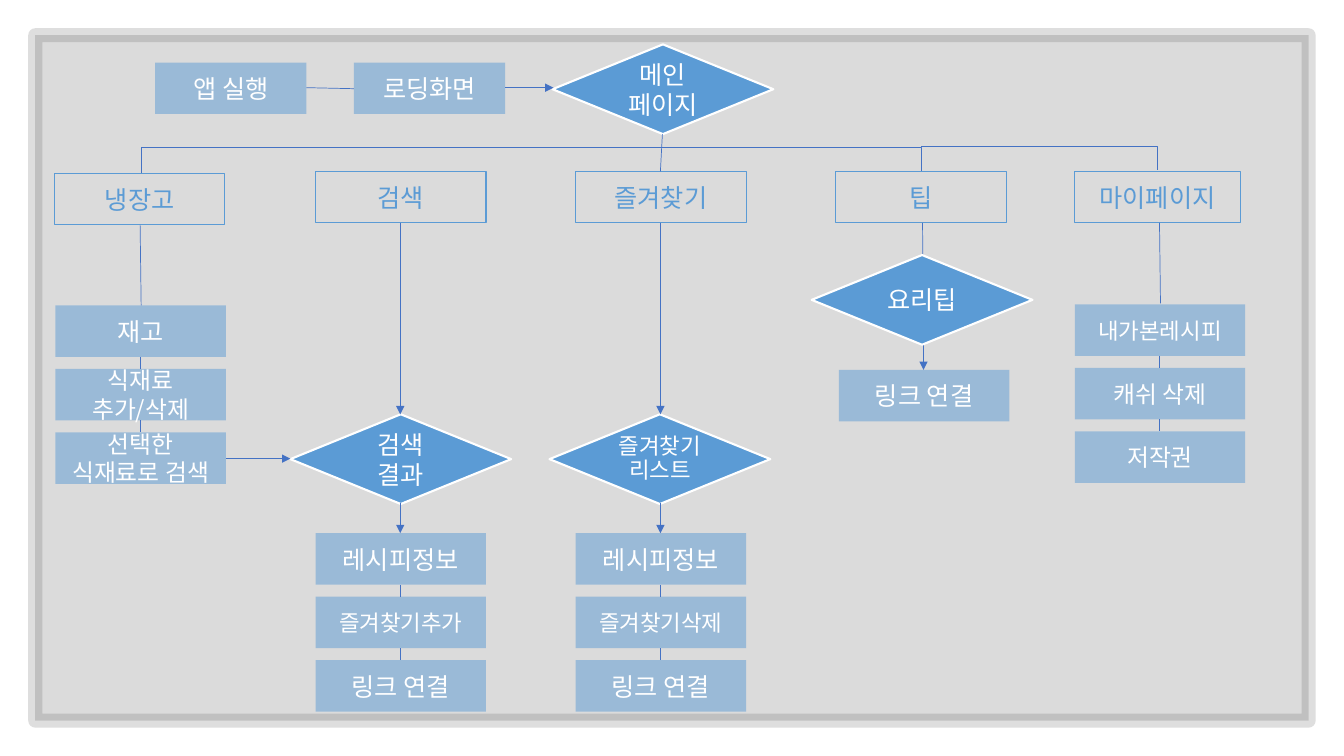
"""Build the screen flow chart of a recipe app on one slide."""
from lxml import etree
from pptx import Presentation
from pptx import util as u
from pptx.dml.color import RGBColor
from pptx.enum import shapes, text
from pptx.oxml.ns import qn

PX = 9144
FONT = "Noto Sans CJK KR"
COLORS = {"blue": "5B9BD5", "white": "FFFFFF", "link": "4472C4",
          "panel": "000000", "border": "262626"}
PROCESS = shapes.MSO_SHAPE.FLOWCHART_PROCESS
DECISION = shapes.MSO_SHAPE.FLOWCHART_DECISION
STRAIGHT = shapes.MSO_CONNECTOR.STRAIGHT
ELBOW = shapes.MSO_CONNECTOR.ELBOW
STYLES = {
    "screen": dict(form=PROCESS, line="blue", weight=0.75, ink="blue"),
    "step": dict(form=PROCESS, fill="blue", alpha=50, ink="white"),
    "choice": dict(form=DECISION, fill="blue", line="white", weight=1.5, ink="white"),
    "panel": dict(form=shapes.MSO_SHAPE.RECTANGLE, fill="panel", alpha=14,
                  line="border", weight=10, line_alpha=15, ink="white"),
}

prs = Presentation()
prs.slide_width, prs.slide_height = 1333 * PX, 750 * PX
slide = prs.slides.add_slide(prs.slide_layouts[6])


def add_node(style, label, left, top, width, height, size=18, spacing=1.0):
    look = STYLES[style]
    node = slide.shapes.add_shape(look["form"], *(n * PX for n in (left, top, width, height)))
    node.shadow.inherit = False
    for part, paint, alpha in (("fill", node.fill, "alpha"), ("line", node.line.fill, "line_alpha")):
        if part not in look:
            paint.background()
            continue
        paint.solid()
        paint.fore_color.rgb = RGBColor.from_string(COLORS[look[part]])
        if alpha in look:
            owner = node._element.spPr if part == "fill" else node.line._ln
            color = owner.find(qn("a:solidFill"))[0]
            etree.SubElement(color, qn("a:alpha")).set("val", str(look[alpha] * 1000))
    if "line" in look:
        node.line.width = u.Pt(look["weight"])
    if not label:
        return
    frame = node.text_frame
    frame.word_wrap = True
    frame.vertical_anchor = text.MSO_ANCHOR.MIDDLE
    frame.text = label
    for paragraph in frame.paragraphs:
        paragraph.alignment = text.PP_ALIGN.CENTER
        paragraph.line_spacing = spacing
        paragraph.font.size = u.Pt(size)
        paragraph.font.name = FONT
        paragraph.font.color.rgb = RGBColor.from_string(COLORS[look["ink"]])
        for run in paragraph.runs:
            etree.SubElement(run._r.get_or_add_rPr(), qn("a:ea")).set("typeface", FONT)


def add_link(x1, y1, x2, y2, arrow=False, kind=STRAIGHT):
    link = slide.shapes.add_connector(kind, x1 * PX, y1 * PX, x2 * PX, y2 * PX)
    link.line.width = u.Pt(0.5)
    link.line.color.rgb = RGBColor.from_string(COLORS["link"])
    if arrow:
        etree.SubElement(link.line._ln, qn("a:tailEnd")).set("type", "triangle")
    etree.SubElement(link._element.spPr, qn("a:effectLst"))
    return link


add_node("panel", "", 35, 35, 1263, 680)

for label, left in (("앱 실행", 154), ("로딩화면", 351)):
    add_node("step", label, left, 62, 150, 51)

for label, left, top, width in (("냉장고", 54, 172, 169), ("검색", 313, 170, 169),
                                ("즐겨찾기", 571, 170, 169), ("팁", 829, 170, 169),
                                ("마이페이지", 1066, 170, 164)):
    add_node("screen", label, left, top, width, 51)

for label, left, top, size, spacing in (("메인\n페이지", 548, 44, 18, 1.0),
                                        ("검색\n결과", 288, 411, 18, 1.0),
                                        ("즐겨찾기\n리스트", 545, 411, 16, 0.9)):
    add_node("choice", label, left, top, 219, 89, size, spacing)

STEP_PITCH = 63
step_columns = (
    (55, 303, (("재고", 18), ("식재료\n추가/삭제", 17), ("선택한 식재료로 검색", 17))),
    (313, 529, (("레시피정보", 18), ("즐겨찾기추가", 16), ("링크 연결", 18))),
    (571, 529, (("레시피정보", 18), ("즐겨찾기삭제", 16), ("링크 연결", 18))),
    (832, 367, (("링크 연결", 18),)),
    (1066, 302, (("내가본레시피", 16), ("캐쉬 삭제", 17), ("저작권", 17))),
)
for left, first_top, steps in step_columns:
    for row, (label, size) in enumerate(steps):
        top = first_top + row * STEP_PITCH
        add_node("step", label, left, top, 169, 51, size)
        if row:
            add_link(left + 84, top - 12, left + 84, top)

for center in (397, 655):
    add_link(center, 221, center, 411, arrow=True)
    add_link(center, 499, center, 529, arrow=True)
add_link(304, 87, 351, 88)
add_link(501, 87, 549, 87, arrow=True)
add_link(224, 455, 288, 455, arrow=True)
add_link(657, 133, 655, 170)
add_link(139, 223, 140, 303)
add_link(1150, 221, 1151, 301)
add_link(915, 221, 916, 367, arrow=True)

menu_bus = add_link(528, 558, 526, -216, kind=ELBOW)
menu_bus._element.spPr.xfrm.set("rot", "5400000")
bend = etree.SubElement(menu_bus._element.spPr.prstGeom.get_or_add_avLst(), qn("a:gd"))
bend.set("name", "adj1")
bend.set("fmla", "val 1300000")

my_page_bus = add_link(1019, 274, 1042, 40, kind=ELBOW)
my_page_bus._element.spPr.xfrm.set("rot", "16200000")
my_page_bus._element.spPr.prstGeom.set("prst", "bentConnector2")

add_node("choice", "요리팁", 805, 253, 219, 89)

prs.save("out.pptx")
